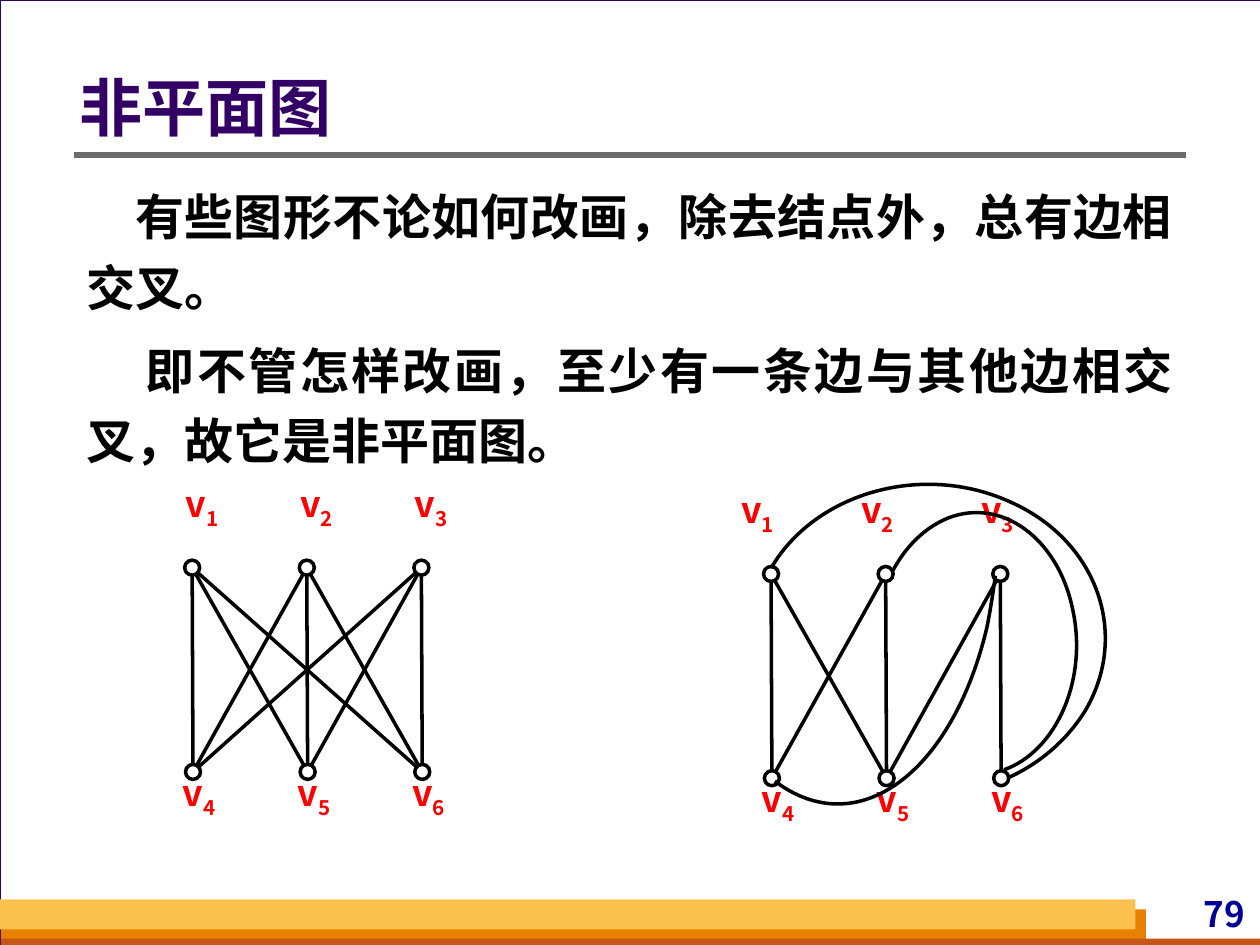
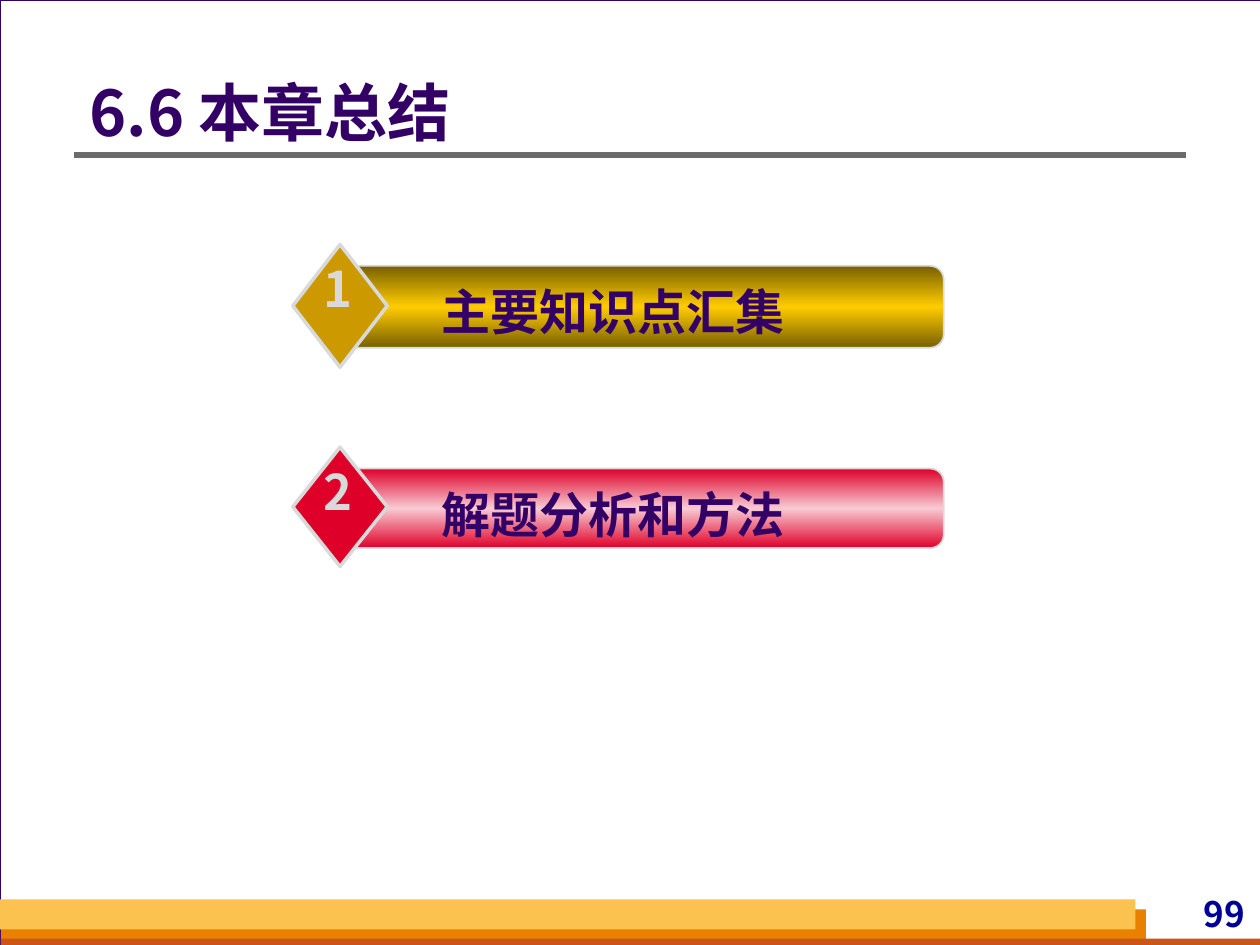
from copy import deepcopy
from itertools import product
from math import hypot

from lxml.etree import SubElement
from pptx import Presentation
from pptx.dml.color import RGBColor
from pptx.enum.shapes import MSO_CONNECTOR, MSO_SHAPE
from pptx.enum.text import MSO_ANCHOR, MSO_AUTO_SIZE, PP_ALIGN
from pptx.oxml.ns import qn
from pptx.util import Pt

FONT = "Noto Sans CJK SC"
HEX = {
    "paper": "FFFFFF", "purple": "330066", "orange": "E88000", "rust": "C95616",
    "amber": "FCC24F", "rule": "6B6B6B", "number": "000099", "ink": "000000",
    "label": "FF0000", "silver": "D8DADA", "gold": "CC9900", "olive": "786000",
    "yellow": "FFCC00", "red": "DF0029", "pink": "F8CAD3",
}
COLOR = {name: RGBColor.from_string(value) for name, value in HEX.items()}


def add_run(paragraph, text, size, color):
    """Add a bold run with the deck font for Latin and Chinese characters."""
    run = paragraph.add_run()
    run.text = text
    run.font.size = Pt(size)
    run.font.bold = True
    run.font.color.rgb = COLOR[color]
    run.font.name = FONT
    SubElement(run.font._element, qn("a:ea")).set("typeface", FONT)
    return run


def add_text(slide, box, align, anchor=MSO_ANCHOR.TOP):
    """Add a text box without insets and return its first paragraph."""
    frame = slide.shapes.add_textbox(*map(Pt, box)).text_frame
    frame.word_wrap = True
    frame.vertical_anchor = anchor
    frame.margin_left = frame.margin_right = 0
    frame.margin_top = frame.margin_bottom = 0
    frame.paragraphs[0].alignment = align
    return frame.paragraphs[0]


prs = Presentation()
prs.slide_width, prs.slide_height = Pt(720), Pt(540)
nonplanar = prs.slides.add_slide(prs.slide_layouts[1])
summary = prs.slides.add_slide(prs.slide_layouts[5])

# Master: page frame, bottom bands and title rule
decor = []
for box, color in [
    ((0, 0, 720.7, 540), "paper"),
    ((0.6, 519.6, 654.3, 20.2), "orange"),
    ((0.6, 536.4, 720, 5.8), "rust"),
    ((0, 513.9, 648.9, 17.2), "amber"),
]:
    band = nonplanar.shapes.add_shape(MSO_SHAPE.RECTANGLE, *map(Pt, box))
    band.shadow.inherit = False
    band.fill.solid()
    band.fill.fore_color.rgb = COLOR[color]
    if color == "paper":
        band.line.color.rgb = COLOR["purple"]
        band.line.width = Pt(0.75)
    else:
        band.line.fill.background()
    decor.append(band)
title_rule = nonplanar.shapes.add_connector(
    MSO_CONNECTOR.STRAIGHT, Pt(42.5), Pt(88.6), Pt(677.5), Pt(88.6))
title_rule.line.color.rgb = COLOR["rule"]
title_rule.line.width = Pt(3)
SubElement(title_rule.element.spPr, qn("a:effectLst"))
decor.append(title_rule)
for shape_id, shape in enumerate(decor, 101):
    shape.element.xpath(".//p:cNvPr")[0].set("id", str(shape_id))
    prs.slide_master.shapes.element.append(shape.element)
prs.slide_master.background.fill.solid()
prs.slide_master.background.fill.fore_color.rgb = COLOR["silver"]

# Titles and page numbers
for slide, heading, box, page in [
    (nonplanar, "非平面图", (42.5, 27.4, 635, 72.7), "79"),
    (summary, "6.6 本章总结", (48.2, 38.2, 625, 56.2), "99"),
]:
    title = slide.shapes.title
    title.left, title.top, title.width, title.height = map(Pt, box)
    frame = title.text_frame
    frame.auto_size = MSO_AUTO_SIZE.NONE
    frame.vertical_anchor = MSO_ANCHOR.MIDDLE
    frame.margin_left = frame.margin_right = Pt(2.9)
    frame.margin_top = frame.margin_bottom = 0
    frame.paragraphs[0].alignment = PP_ALIGN.LEFT
    frame.paragraphs[0].line_spacing = 0.9
    add_run(frame.paragraphs[0], heading, 36, "purple")
    add_run(add_text(slide, (626.4, 509.8, 85, 24), PP_ALIGN.RIGHT), page, 20, "number")

# Slide 1: explanation
body = nonplanar.placeholders[1]
body.left, body.top, body.width, body.height = map(Pt, (42.5, 96.5, 635, 175.7))
body.text_frame.auto_size = MSO_AUTO_SIZE.NONE
for number, (sentence, first_indent) in enumerate([
    ("有些图形不论如何改画，除去结点外，总有边相交叉。", 27.5),
    ("即不管怎样改画，至少有一条边与其他边相交叉，故它是非平面图。", 33.5),
]):
    paragraph = body.text_frame.add_paragraph() if number else body.text_frame.paragraphs[0]
    properties = paragraph._p.get_or_add_pPr()
    properties.set("marL", "0")
    properties.set("indent", str(Pt(first_indent)))
    SubElement(properties, qn("a:buNone"))
    paragraph.alignment = PP_ALIGN.JUSTIFY
    paragraph.line_spacing = 1.2
    paragraph.space_before = Pt(7 * number)
    add_run(paragraph, sentence, 28, "ink")

# Slide 1: the graph drawn twice, with vertices 1-3 above vertices 4-6
RADIUS, PITCH, DROP, SKEW = 4.3, 65.5, 116.7, 0.5
bipartite_edges = list(product((1, 2, 3), (4, 5, 6)))
redrawn_edges = [(1, 4), (1, 5), (2, 4), (2, 5), (3, 5), (3, 6)]
for left, top, edges, label_shift, label_pitch in [
    (109.8, 324.4, bipartite_edges, -11.2, PITCH),
    (440.6, 328, redrawn_edges, -24.5, 68.5),
]:
    vertices = {
        row * 3 + column + 1: (left + column * PITCH + row * SKEW, top + row * DROP)
        for row, column in product(range(2), range(3))
    }
    for upper, lower in edges:
        (x1, y1), (x2, y2) = vertices[upper], vertices[lower]
        trim = RADIUS / hypot(x2 - x1, y2 - y1)
        dx, dy = (x2 - x1) * trim, (y2 - y1) * trim
        edge = nonplanar.shapes.add_connector(
            MSO_CONNECTOR.STRAIGHT, *map(Pt, (x1 + dx, y1 + dy, x2 - dx, y2 - dy)))
        edge.line.color.rgb = COLOR["ink"]
        edge.line.width = Pt(2)
        SubElement(edge.element.spPr, qn("a:effectLst"))
    for index, (x, y) in vertices.items():
        node = nonplanar.shapes.add_shape(
            MSO_SHAPE.OVAL, *map(Pt, (x - RADIUS, y - RADIUS, 2 * RADIUS, 2 * RADIUS)))
        node.shadow.inherit = False
        node.fill.background()
        node.line.color.rgb = COLOR["ink"]
        node.line.width = Pt(2)
        if index <= 3:
            corner = (left + label_shift + (index - 1) * label_pitch, top - 48.7)
        else:
            corner = (x - 13.2, y - 0.5)
        label = add_text(nonplanar, (*corner, 33.8, 28.8), PP_ALIGN.CENTER)
        label.line_spacing = 0.9
        add_run(label, "v", 20.4, "label")
        subscript = add_run(label, str(index), 20.4, "label")
        subscript.font._element.set("baseline", "-25000")

# Curved edges v3-v4, v2-v6 and v1-v6: start point, then three points per Bézier segment
for start, *controls in [
    [(442.8, 446.4), (489.6, 481.7), (543.6, 442.8), (563.8, 359.3),
     (565.9, 349.2), (567.4, 339.1), (568.8, 329)],
    [(573.8, 439.9), (604.1, 429.1), (622.1, 387.4), (612.7, 347),
     (604.1, 307.4), (572.4, 284.4), (542.2, 295.9),
     (529.2, 301), (517.7, 311.8), (509.8, 326.9)],
    [(440.6, 324.7), (465.8, 281.5), (527, 264.2), (576.7, 286.6),
     (626.4, 308.2), (645.8, 361.4), (620.6, 405.4),
     (610.6, 421.9), (595.4, 435.6), (576.7, 444.2)],
]:
    outline = nonplanar.shapes.build_freeform(*map(Pt, start))
    outline.add_line_segments([tuple(map(Pt, point)) for point in controls], close=False)
    arc = outline.convert_to_shape()
    path = arc.element.spPr.find(".//" + qn("a:path"))
    segments = path.findall(qn("a:lnTo"))
    for first in range(0, len(segments), 3):
        curve = SubElement(path, qn("a:cubicBezTo"))
        for segment in segments[first:first + 3]:
            curve.append(segment[0])
            path.remove(segment)
    arc.shadow.inherit = False
    arc.fill.background()
    arc.line.color.rgb = COLOR["ink"]
    arc.line.width = Pt(2)

# Slide 2: numbered topics
for number, topic, top, height, badge_color, edge_color, middle_color in [
    ("1", "主要知识点汇集", 151.9, 46.8, "gold", "olive", "yellow"),
    ("2", "解题分析和方法", 267.8, 45.4, "red", "red", "pink"),
]:
    bar = summary.shapes.add_shape(
        MSO_SHAPE.ROUNDED_RECTANGLE, Pt(197.3), Pt(top), Pt(342), Pt(height))
    bar.fill.gradient()
    bar.fill.gradient_angle = 90
    stop_list = bar.element.spPr.find(".//" + qn("a:gsLst"))
    stop_list.append(deepcopy(stop_list[0]))
    for place, color in enumerate((edge_color, middle_color, edge_color)):
        stop = bar.fill.gradient_stops[place]
        stop.position = place / 2
        stop.color.rgb = COLOR[color]
    badge = summary.shapes.add_shape(
        MSO_SHAPE.DIAMOND, Pt(167.3), Pt(top - 12.2), Pt(54), Pt(height * 1.5))
    badge.fill.solid()
    badge.fill.fore_color.rgb = COLOR[badge_color]
    for shape, width in ((bar, 1), (badge, 2)):
        shape.shadow.inherit = False
        shape.line.color.rgb = COLOR["silver"]
        shape.line.width = Pt(width)
    for text, box, color in [
        (topic, (215.3, top + 9, 270, 33.8), "purple"),
        (number, (179, top - 4.3, 28.8, 33.8), "silver"),
    ]:
        add_run(add_text(summary, box, PP_ALIGN.CENTER, MSO_ANCHOR.MIDDLE), text, 28, color)

prs.save("out.pptx")
